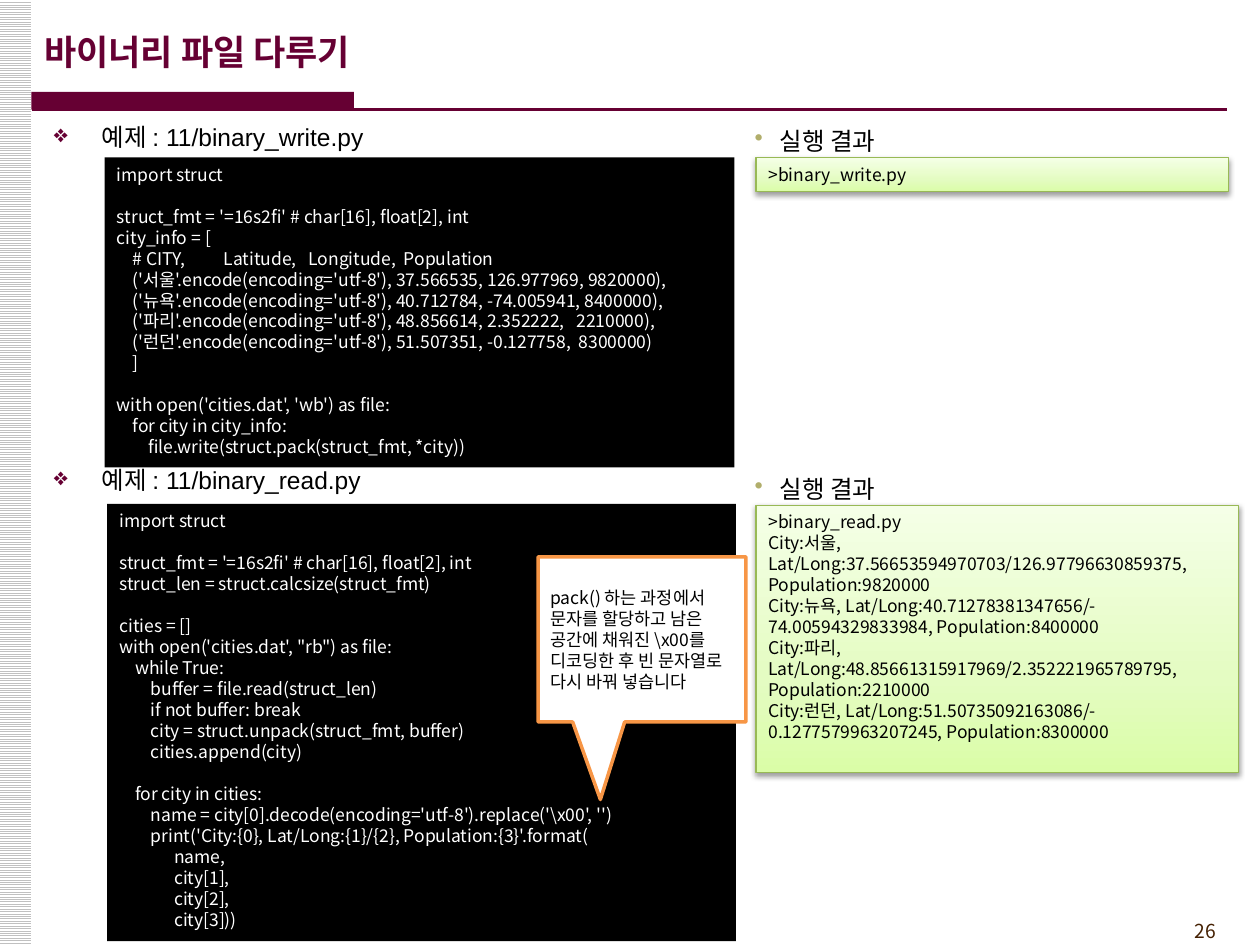
from copy import deepcopy

from lxml.etree import SubElement
from pptx import Presentation
from pptx.dml.color import RGBColor
from pptx.enum.dml import MSO_PATTERN
from pptx.enum.shapes import MSO_CONNECTOR, MSO_SHAPE
from pptx.enum.text import MSO_ANCHOR as Anchor, MSO_AUTO_SIZE, PP_ALIGN as Align
from pptx.oxml.ns import qn
from pptx.util import Inches, Pt

COLORS = {
    "wine": "660033", "black": "000000", "white": "FFFFFF", "stripe": "C0C0C0",
    "olive": "B1AE6B", "green": "98B955", "orange": "F79646", "brown": "452103",
}
GREEN_STOPS = [(0, "DAFDA7"), (0.35, "E4FCC2"), (1, "F5FFE7")]
SANS = "Noto Sans CJK KR"
LINE_HEIGHT = 12

TITLE = "바이너리 파일 다루기"
PAGE_NUMBER = "26"
WRITE_CODE = r"""import struct

struct_fmt = '=16s2fi' # char[16], float[2], int
city_info = [
    # CITY,          Latitude,   Longitude,  Population
    ('서울'.encode(encoding='utf-8'), 37.566535, 126.977969, 9820000),
    ('뉴욕'.encode(encoding='utf-8'), 40.712784, -74.005941, 8400000),
    ('파리'.encode(encoding='utf-8'), 48.856614, 2.352222,   2210000),
    ('런던'.encode(encoding='utf-8'), 51.507351, -0.127758,  8300000)
    ]

with open('cities.dat', 'wb') as file:
    for city in city_info:
        file.write(struct.pack(struct_fmt, *city))"""
READ_CODE = r"""import struct

struct_fmt = '=16s2fi' # char[16], float[2], int
struct_len = struct.calcsize(struct_fmt)

cities = []
with open('cities.dat', "rb") as file:
    while True:
        buffer = file.read(struct_len)
        if not buffer: break
        city = struct.unpack(struct_fmt, buffer)
        cities.append(city)

    for city in cities:
        name = city[0].decode(encoding='utf-8').replace('\x00', '')
        print('City:{0}, Lat/Long:{1}/{2}, Population:{3}'.format(
              name,
              city[1],
              city[2],
              city[3]))"""
READ_RESULT = """>binary_read.py
City:서울, Lat/Long:37.56653594970703/126.97796630859375, Population:9820000
City:뉴욕, Lat/Long:40.71278381347656/-74.00594329833984, Population:8400000
City:파리, Lat/Long:48.85661315917969/2.352221965789795, Population:2210000
City:런던, Lat/Long:51.50735092163086/-0.1277579963207245, Population:8300000"""
RESULT_LABEL = "실행 결과"
NOTE = r"pack() 하는 과정에서 문자를 할당하고 남은 공간에 채워진 \x00를 디코딩한 후 빈 문자열로 다시 바꿔 넣습니다"

# Boxes are left, top, width, height in inches.
EXAMPLES = [
    {"heading": "예제 : 11/binary_write.py", "heading_top": 0.92, "label_top": 0.93,
     "code": WRITE_CODE, "code_box": (0.83, 1.25, 5, 2.46),
     "result": ">binary_write.py", "result_box": (6, 1.25, 3.75, 0.27)},
    {"heading": "예제 : 11/binary_read.py", "heading_top": 3.64, "label_top": 3.69,
     "code": READ_CODE, "code_box": (0.85, 4, 4.99, 3.47),
     "result": READ_RESULT, "result_box": (6, 4.01, 3.83, 2.12)},
]


def rgb(name):
    return RGBColor.from_string(COLORS[name])


def set_font(paragraph, size, color, name=SANS, bold=False):
    font = paragraph.font
    font.size, font.name, font.bold = Pt(size), name, bold
    font.color.rgb = rgb(color)


def add_box(slide, box, fill=None, line=None, line_width=1, kind=MSO_SHAPE.RECTANGLE):
    shape = slide.shapes.add_shape(kind, *map(Inches, box))
    shape.shadow.inherit = False
    if fill:
        shape.fill.solid()
        shape.fill.fore_color.rgb = rgb(fill)
    if line:
        shape.line.color.rgb = rgb(line)
        shape.line.width = Pt(line_width)
    else:
        shape.line.fill.background()
    return shape


def write_lines(shape, text, color, anchor=Anchor.TOP):
    """Write one paragraph per line; an empty line becomes space before the next."""
    frame = shape.text_frame
    frame.word_wrap = True
    frame.vertical_anchor = anchor
    paragraph, gap = frame.paragraphs[0], 0
    for index, line in enumerate(text.split("\n")):
        if not line:
            gap += LINE_HEIGHT
            continue
        if index:
            paragraph = frame.add_paragraph()
        paragraph.text = line
        paragraph.alignment = Align.LEFT
        paragraph.line_spacing = Pt(LINE_HEIGHT)
        paragraph.space_before = Pt(gap)
        set_font(paragraph, 10, color)
        gap = 0


def add_text(slide, box, text):
    frame = slide.shapes.add_textbox(*map(Inches, box)).text_frame
    frame.word_wrap = True
    paragraph = frame.paragraphs[0]
    paragraph.text = text
    return paragraph


def add_bullet(paragraph, character, color, margin, hanging):
    properties = paragraph._p.get_or_add_pPr()
    properties.set("marL", str(Inches(margin)))
    properties.set("indent", str(-Inches(hanging)))
    bullet_color = SubElement(properties, qn("a:buClr"))
    SubElement(bullet_color, qn("a:srgbClr"), val=COLORS[color])
    SubElement(properties, qn("a:buChar"), char=character)


def style_result(shape):
    """Give a result panel its green gradient and soft shadow below."""
    shape.fill.gradient()
    shape.fill.gradient_angle = 90
    first = shape._element.spPr.find(".//" + qn("a:gs"))
    first.addnext(deepcopy(first))
    for stop, (position, color) in zip(shape.fill.gradient_stops, GREEN_STOPS):
        stop.position = position
        stop.color.rgb = RGBColor.from_string(color)
    effects = shape._element.spPr.find(qn("a:effectLst"))
    shadow = SubElement(effects, qn("a:outerShdw"), blurRad=str(Pt(3.1)),
                        dist=str(Pt(1.6)), dir="5400000", rotWithShape="0")
    shadow_color = SubElement(shadow, qn("a:srgbClr"), val=COLORS["black"])
    SubElement(shadow_color, qn("a:alpha"), val="38000")


def add_frame(slide):
    stripes = add_box(slide, (-0.01, 0, 0.26, 7.5))
    stripes.fill.patterned()
    stripes.fill.pattern = MSO_PATTERN.LIGHT_HORIZONTAL
    stripes.fill.fore_color.rgb = rgb("stripe")
    stripes.fill.back_color.rgb = rgb("white")
    add_box(slide, (0.25, 0.73, 2.56, 0.14), "wine")
    rule = slide.shapes.add_connector(
        MSO_CONNECTOR.STRAIGHT, *map(Inches, (0.25, 0.87, 9.74, 0.87)))
    rule.line.color.rgb = rgb("wine")
    rule.line.width = Pt(1.5)
    SubElement(rule._element.spPr, qn("a:effectLst"))
    number = add_text(slide, (8.92, 7.25, 0.83, 0.29), PAGE_NUMBER)
    number.alignment = Align.RIGHT
    set_font(number, 11, "brown")


def add_title(slide):
    title = slide.shapes.title
    title.left, title.top, title.width, title.height = map(Inches, (0.25, 0.09, 8.27, 0.63))
    frame = title.text_frame
    frame.text = TITLE
    frame.auto_size = MSO_AUTO_SIZE.NONE
    frame.vertical_anchor = Anchor.MIDDLE
    frame.paragraphs[0].alignment = Align.LEFT
    set_font(frame.paragraphs[0], 20, "wine", "Arial", True)


def add_example(slide, example):
    heading = add_text(slide, (0.33, example["heading_top"], 5, 0.33), example["heading"])
    add_bullet(heading, "❖", "wine", 0.38, 0.38)
    set_font(heading, 14, "black", "Arial")

    write_lines(add_box(slide, example["code_box"], "black"), example["code"], "white")

    result = add_box(slide, example["result_box"], line="green", line_width=0.75)
    style_result(result)
    write_lines(result, example["result"], "black")

    label = add_text(slide, (5.5, example["label_top"], 2.42, 0.39), RESULT_LABEL)
    add_bullet(label, "•", "olive", 0.59, 0.2)
    label.line_spacing = 1.1
    set_font(label, 14, "black")


def main():
    presentation = Presentation()
    presentation.slide_width, presentation.slide_height = Inches(10), Inches(7.5)
    slide = presentation.slides.add_slide(presentation.slide_layouts[5])
    add_frame(slide)
    add_title(slide)
    for example in EXAMPLES:
        add_example(slide, example)
    note = add_box(slide, (4.27, 4.42, 1.65, 1.31), "white", "orange", 2,
                   MSO_SHAPE.RECTANGULAR_CALLOUT)
    note.adjustments[0], note.adjustments[1] = -0.2, 0.97
    write_lines(note, NOTE, "black", Anchor.MIDDLE)
    presentation.save("out.pptx")


if __name__ == "__main__":
    main()
